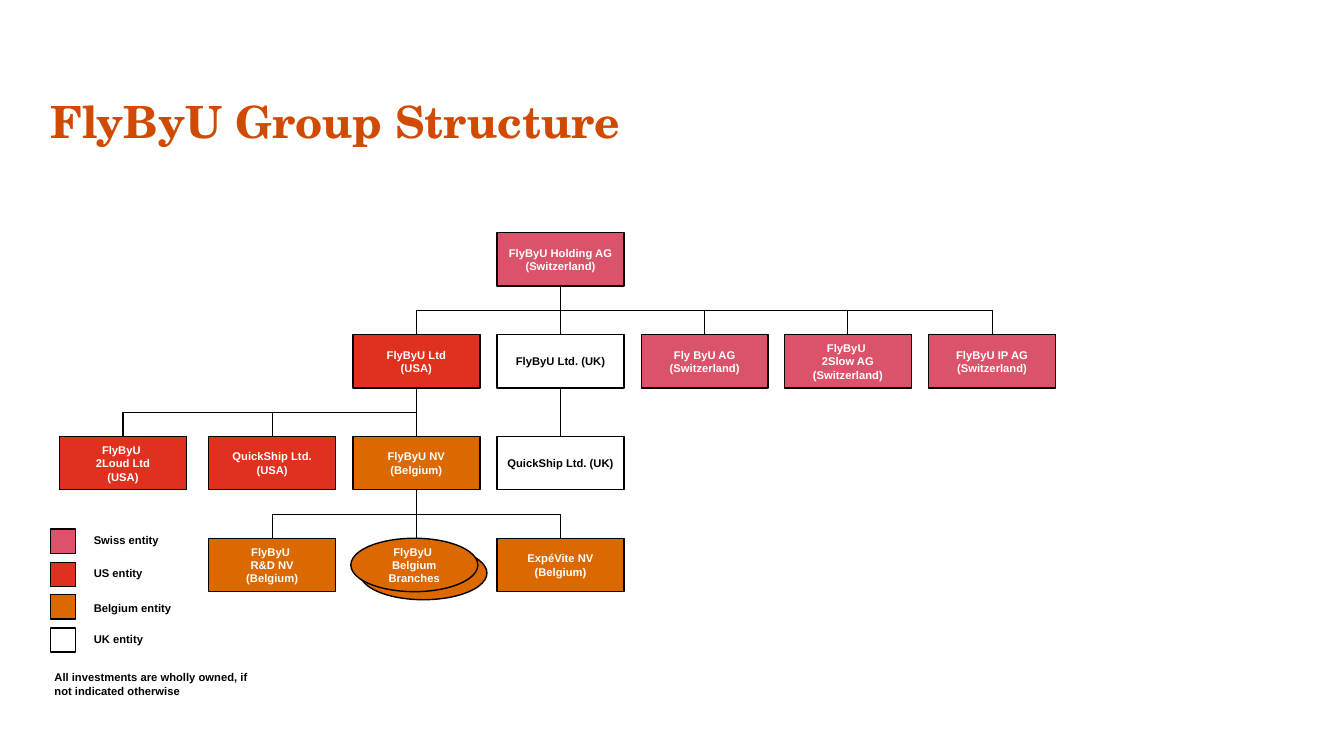
import lxml.etree
import pptx
import pptx.util
import pptx.dml.color
import pptx.enum.shapes
import pptx.enum.text
import pptx.oxml.ns

Inches, Pt = pptx.util.Inches, pptx.util.Pt
RGBColor = pptx.dml.color.RGBColor
Shape = pptx.enum.shapes.MSO_SHAPE
Connector = pptx.enum.shapes.MSO_CONNECTOR
Align = pptx.enum.text.PP_ALIGN
Anchor = pptx.enum.text.MSO_ANCHOR

BLACK = RGBColor(0x00, 0x00, 0x00)
WHITE = RGBColor(0xFF, 0xFF, 0xFF)
TITLE_ORANGE = RGBColor(0xD0, 0x4A, 0x02)
SWISS = RGBColor(0xDB, 0x53, 0x6A)
US = RGBColor(0xE0, 0x30, 0x1E)
BELGIUM = RGBColor(0xDC, 0x69, 0x00)
UK = None  # unfilled

BOX_WIDTH, BOX_HEIGHT = 1.26, 0.53
COLUMNS = [0.59, 2.07, 3.5, 4.93, 6.36, 7.78, 9.21]
ROWS = [2.31 + 1.01 * row for row in range(4)]

presentation = pptx.Presentation()
presentation.slide_width, presentation.slide_height = Inches(13.33), Inches(7.5)
slide = presentation.slides.add_slide(presentation.slide_layouts[6])


def write_text(shape, text, color=BLACK, size=8, name="Arial", align=Align.LEFT,
               anchor=Anchor.MIDDLE, margins=(0.04, 0.02, 0.04, 0.05), space_after=0):
    frame = shape.text_frame
    sides = ("margin_left", "margin_top", "margin_right", "margin_bottom")
    frame_format = dict(zip(sides, map(Inches, margins)), word_wrap=True, vertical_anchor=anchor)
    for key, value in frame_format.items():
        setattr(frame, key, value)
    paragraph = frame.paragraphs[0]
    paragraph.text = text
    paragraph.alignment, paragraph.space_after = align, Pt(space_after)
    for run in paragraph.runs:
        for key, value in {"size": Pt(size), "name": name, "bold": True}.items():
            setattr(run.font, key, value)
        run.font.color.rgb = color


def add_entity(left, top, fill, text="", kind=Shape.RECTANGLE, width=BOX_WIDTH, height=BOX_HEIGHT):
    shape = slide.shapes.add_shape(kind, Inches(left), Inches(top), Inches(width), Inches(height))
    shape.shadow.inherit = False
    if fill is None:
        shape.fill.background()
    else:
        shape.fill.solid()
        shape.fill.fore_color.rgb = fill
    shape.line.color.rgb, shape.line.width = BLACK, Pt(1)
    if text:
        write_text(shape, text, BLACK if fill is None else WHITE, align=Align.CENTER,
                   margins=(0.04, 0.05, 0.04, 0.05))


# Title
title = slide.shapes.add_textbox(Inches(0.5), Inches(0.93), Inches(6.76), Inches(0.91))
write_text(title, "FlyByU Group Structure", TITLE_ORANGE, 31.7, "TeX Gyre Schola",
           anchor=Anchor.TOP, margins=(0, 0, 0, 0))

# Ownership lines: parent row, parent column, child columns in the next row
ownership = [
    (0, 3, [2, 3, 4, 5, 6]),
    (1, 2, [0, 1, 2]),
    (1, 3, [3]),
    (2, 2, [1, 2, 3]),
]
for row, parent, children in ownership:
    top, bottom = ROWS[row] + BOX_HEIGHT, ROWS[row + 1]
    start = COLUMNS[parent] + BOX_WIDTH / 2
    for child in children:
        end = COLUMNS[child] + BOX_WIDTH / 2
        if child == parent:
            kind, rotation, points = Connector.STRAIGHT, 0, (start, top, end, bottom)
        else:
            # An elbow leaves sideways, so turn it to leave downwards
            kind, rotation = Connector.ELBOW, 90 if end < start else 270
            middle_x, middle_y = (start + end) / 2, (top + bottom) / 2
            half_width = (bottom - top) / 2 * (1 if end < start else -1)
            half_height = abs(end - start) / 2
            points = (middle_x - half_width, middle_y - half_height,
                      middle_x + half_width, middle_y + half_height)
        connector = slide.shapes.add_connector(kind, *map(Inches, points))
        connector.line.color.rgb, connector.line.width = BLACK, Pt(0.75)
        properties = connector._element.spPr
        lxml.etree.SubElement(properties, pptx.oxml.ns.qn("a:effectLst"))
        if rotation:
            properties.find(pptx.oxml.ns.qn("a:xfrm")).set("rot", str(rotation * 60000))

# Entities: row, column, country, name
entities = [
    (0, 3, SWISS, "FlyByU Holding AG\v(Switzerland)"),
    (1, 2, US, "FlyByU Ltd\v(USA)"),
    (1, 3, UK, "FlyByU Ltd. (UK)"),
    (1, 4, SWISS, "Fly ByU AG\v(Switzerland)"),
    (1, 5, SWISS, "FlyByU \v2Slow AG\v(Switzerland)"),
    (1, 6, SWISS, "FlyByU IP AG\v(Switzerland)"),
    (2, 0, US, "FlyByU \v2Loud Ltd\v(USA)"),
    (2, 1, US, "QuickShip Ltd.\v(USA)"),
    (2, 2, BELGIUM, "FlyByU NV\v(Belgium)"),
    (2, 3, UK, "QuickShip Ltd. (UK)"),
    (3, 1, BELGIUM, "FlyByU \vR&D NV\v(Belgium)"),
    (3, 3, BELGIUM, "ExpéVite NV\v(Belgium)"),
]
for row, column, country, name in entities:
    add_entity(COLUMNS[column], ROWS[row], country, name)

# Belgian branches
for left, top, name in [(3.57, 5.42, ""), (3.48, 5.34, "FlyByU \vBelgium Branches")]:
    add_entity(left, top, BELGIUM, name, Shape.OVAL)

# Legend and ownership note
legend = [
    (5.25, 5.25, SWISS, "Swiss entity"),
    (5.58, 5.58, US, "US entity"),
    (5.9, 5.93, BELGIUM, "Belgium entity"),
    (6.23, 6.23, UK, "UK entity"),
]
labels = [(0.5, 6.68, 2.17, "All investments are wholly owned, if not indicated otherwise")]
for swatch_top, label_top, country, name in legend:
    add_entity(0.5, swatch_top, country, width=0.25, height=0.24)
    labels.append((0.89, label_top, 1.16, name))
for left, top, width, text in labels:
    label = slide.shapes.add_textbox(Inches(left), Inches(top), Inches(width), Inches(0.24))
    write_text(label, text, space_after=3)

presentation.save("out.pptx")
